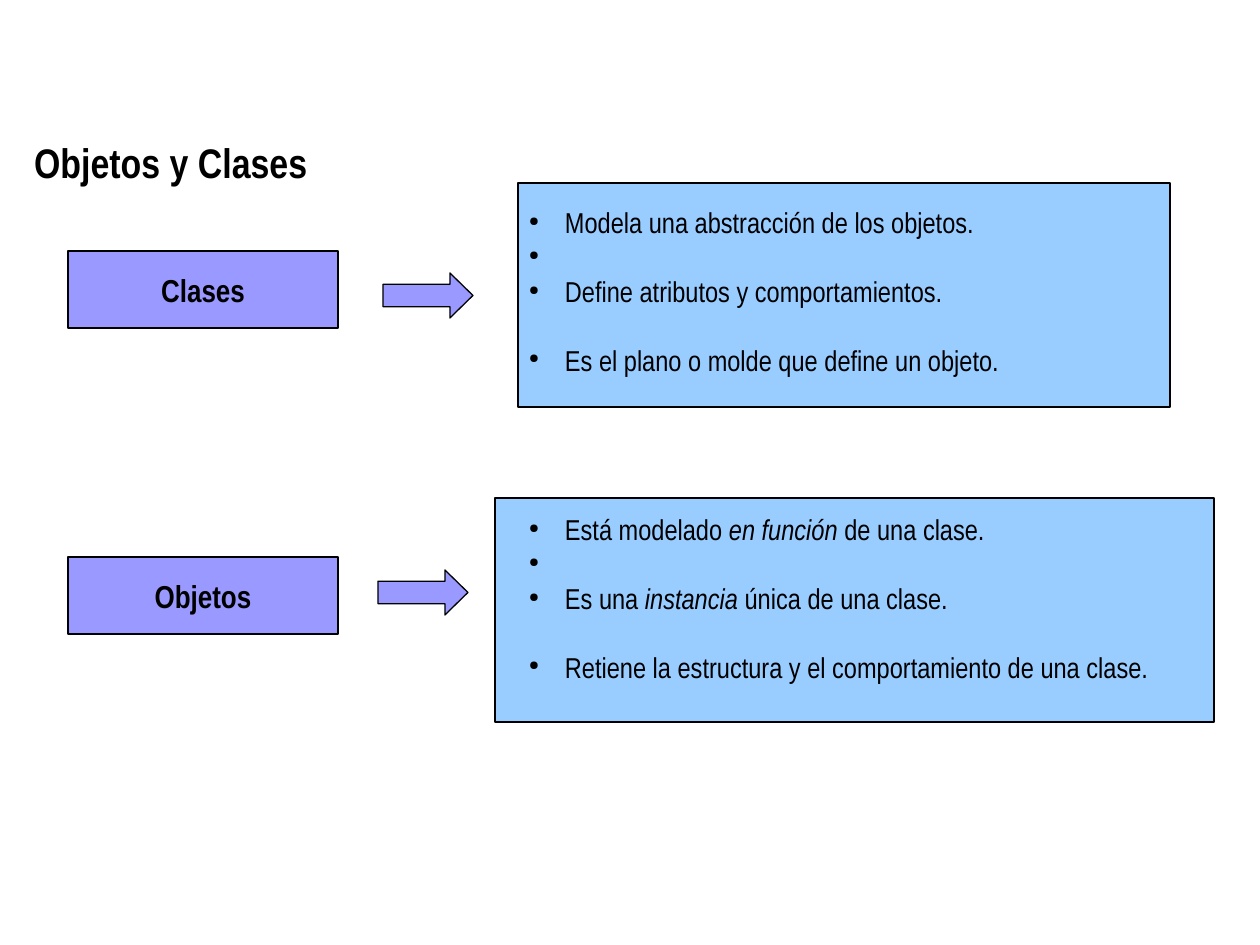
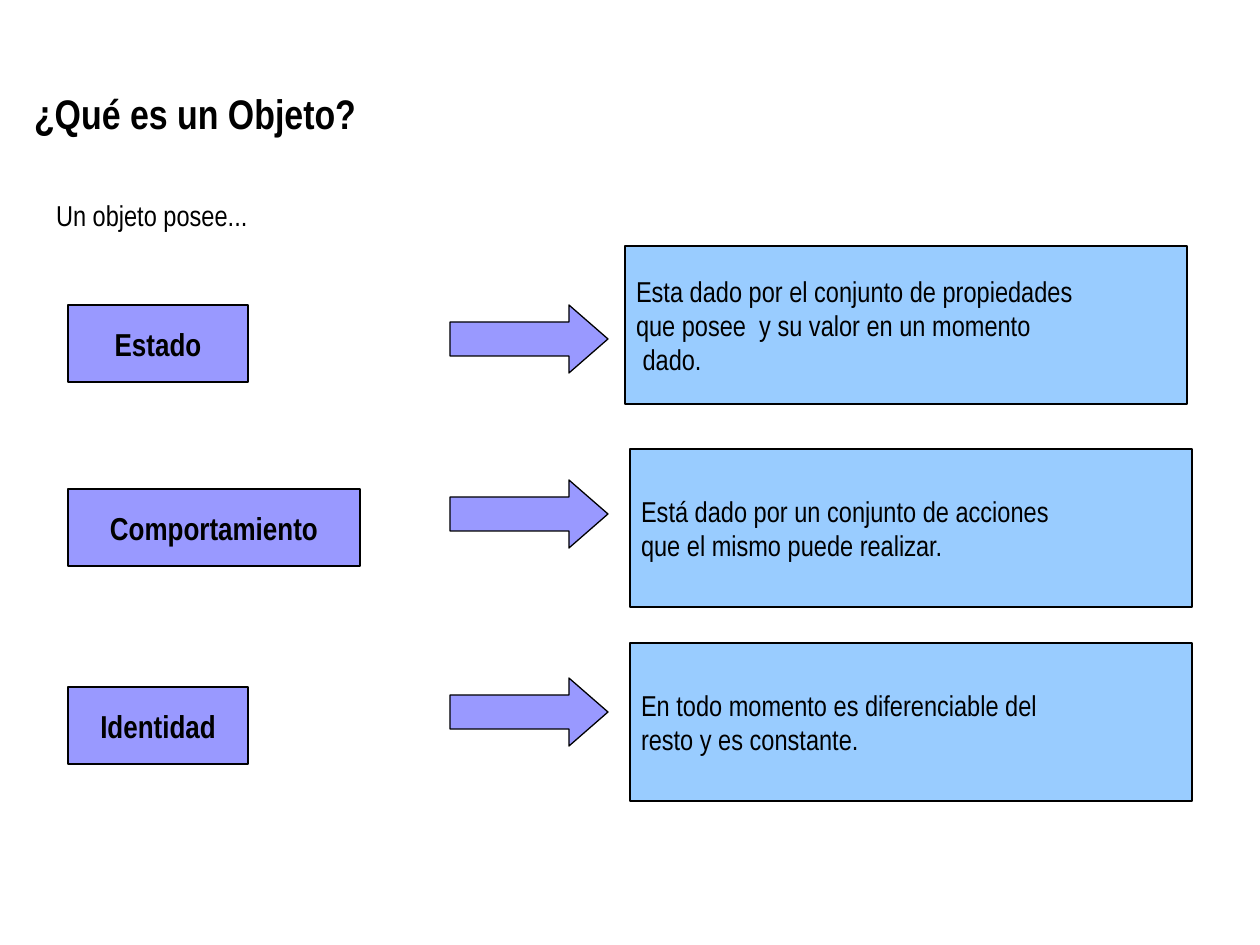
from lxml import etree
from pptx import Presentation
from pptx import util as u
from pptx.dml.color import RGBColor
from pptx.enum import shapes, text
from pptx.oxml.ns import qn

EMU_PER_PX = 914400 / 126
BLACK = RGBColor(0x00, 0x00, 0x00)
LILAC = RGBColor(0x99, 0x99, 0xFF)
SKY = RGBColor(0x99, 0xCC, 0xFF)

TITLE = {"size": u.Pt(23.6), "bold": True}
LABEL = {"size": u.Pt(18.1), "bold": True}
BODY = {"size": u.Pt(16.4), "bold": False}

LABEL_LEFT, LABEL_HEIGHT = 68, 77
BULLET_INDENT = 36
BULLET_GAP = u.Pt(19.6)


def px(length):
    return u.Emu(round(length * EMU_PER_PX))


def add_span(para, words, style, italic=False):
    span = para.add_run()
    span.text = words
    for name, value in {"name": "Arial Narrow", "italic": italic, **style}.items():
        setattr(span.font, name, value)
    span.font.color.rgb = BLACK


def prepare_frame(box, anchor):
    settings = {"word_wrap": True, "vertical_anchor": anchor,
                "margin_left": px(11), "margin_right": px(11),
                "margin_top": px(5), "margin_bottom": px(5)}
    for name, value in settings.items():
        setattr(box.text_frame, name, value)
    return box.text_frame


def write_lines(box, lines, style, anchor=text.MSO_ANCHOR.TOP,
                align=text.PP_ALIGN.LEFT):
    frame = prepare_frame(box, anchor)
    for index, line in enumerate(lines):
        para = frame.add_paragraph() if index else frame.paragraphs[0]
        para.alignment = align
        add_span(para, line, style)


def add_text(page, left, top, width, height, words, style):
    box = page.shapes.add_textbox(*map(px, (left, top, width, height)))
    write_lines(box, [words], style)


def add_title(page, top, words):
    add_text(page, 23, top, 1215, 59, words, TITLE)


def add_outlined(page, kind, frame, fill):
    """Add a filled preset shape with a black hairline."""
    shape = page.shapes.add_shape(kind, *map(px, frame))
    shape.shadow.inherit = False
    shape.fill.solid()
    shape.fill.fore_color.rgb = fill
    shape.line.color.rgb = BLACK
    shape.line.width = u.Pt(0)
    return shape


def add_label(page, top, width, words):
    box = add_outlined(page, shapes.MSO_SHAPE.RECTANGLE,
                       (LABEL_LEFT, top, width, LABEL_HEIGHT), LILAC)
    write_lines(box, [words], LABEL, text.MSO_ANCHOR.MIDDLE,
                text.PP_ALIGN.CENTER)


def add_panel(page, left, top, width, height, lines=()):
    panel = add_outlined(page, shapes.MSO_SHAPE.RECTANGLE,
                         (left, top, width, height), SKY)
    write_lines(panel, lines, BODY, text.MSO_ANCHOR.MIDDLE)


def add_arrow(page, left, top, width, height, head):
    arrow = add_outlined(page, shapes.MSO_SHAPE.RIGHT_ARROW,
                         (left, top, width, height), LILAC)
    arrow.adjustments[0] = 0.5
    arrow.adjustments[1] = head / height


def set_bullet(para):
    props = para._p.get_or_add_pPr()
    props.set("marL", str(px(BULLET_INDENT)))
    props.set("indent", str(-px(BULLET_INDENT)))
    colour = etree.SubElement(props, qn("a:buClr"))
    etree.SubElement(colour, qn("a:srgbClr"), val=str(BLACK))
    etree.SubElement(props, qn("a:buSzPct"), val="45000")
    etree.SubElement(props, qn("a:buChar"), char="●")


def add_bullets(page, top, width, height, items):
    """Each item is a list of spans in which every second one is italic."""
    box = page.shapes.add_textbox(*map(px, (518, top, width, height)))
    frame = prepare_frame(box, text.MSO_ANCHOR.TOP)
    for index, spans in enumerate(items):
        para = frame.add_paragraph() if index else frame.paragraphs[0]
        set_bullet(para)
        for position, words in enumerate(spans):
            add_span(para, words, BODY, italic=position % 2 == 1)
    para.space_before = BULLET_GAP


def build_classes_page(page):
    add_panel(page, 495, 498, 719, 224)
    add_panel(page, 518, 183, 652, 224)
    add_title(page, 132, "Objetos y Clases")
    add_label(page, 251, 270, "Clases")
    add_bullets(page, 200, 593, 176, [
        ["Modela una abstracción de los objetos."],
        [" "],
        ["Define atributos y comportamientos."],
        ["Es el plano o molde que define un objeto."],
    ])
    add_label(page, 557, 270, "Objetos")
    add_bullets(page, 507, 719, 210, [
        ["Está modelado ", "en función", " de una clase."],
        [" "],
        ["Es una ", "instancia", " única de una clase."],
        ["Retiene la estructura y el comportamiento de una clase."],
    ])
    for left, top in ((383, 273), (378, 570)):
        add_arrow(page, left, top, 90, 45, head=23)


def build_object_page(page):
    add_title(page, 83, "¿Qué es un Objeto?")
    add_text(page, 45, 193, 270, 44, "Un objeto posee...", BODY)
    traits = [
        ("Estado", 305, 180, 305, 625, 246,
         ["Esta dado por el conjunto de propiedades",
          "que posee  y su valor en un momento", " dado."]),
        ("Comportamiento", 489, 292, 480, 630, 449,
         ["Está dado por un conjunto de acciones",
          "que el mismo puede realizar."]),
        ("Identidad", 687, 180, 678, 630, 643,
         ["En todo momento es diferenciable del",
          "resto y es constante."]),
    ]
    for name, label_top, width, arrow_top, panel_left, panel_top, lines in traits:
        add_label(page, label_top, width, name)
        add_arrow(page, 450, arrow_top, 158, 68, head=39)
        add_panel(page, panel_left, panel_top, 562, 158, lines)


def main():
    deck = Presentation()
    deck.slide_width, deck.slide_height = px(1260), px(945)
    for build in (build_classes_page, build_object_page):
        build(deck.slides.add_slide(deck.slide_layouts[6]))
    deck.save("out.pptx")


if __name__ == "__main__":
    main()
